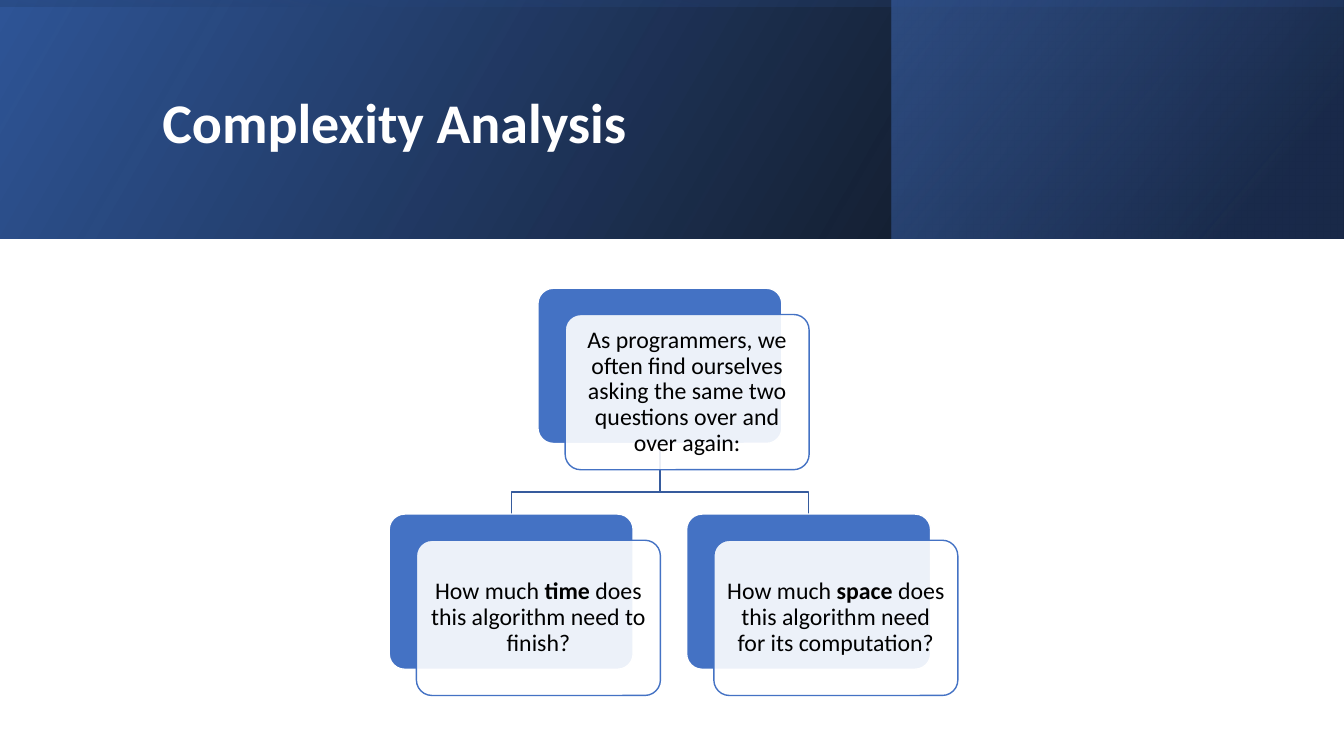
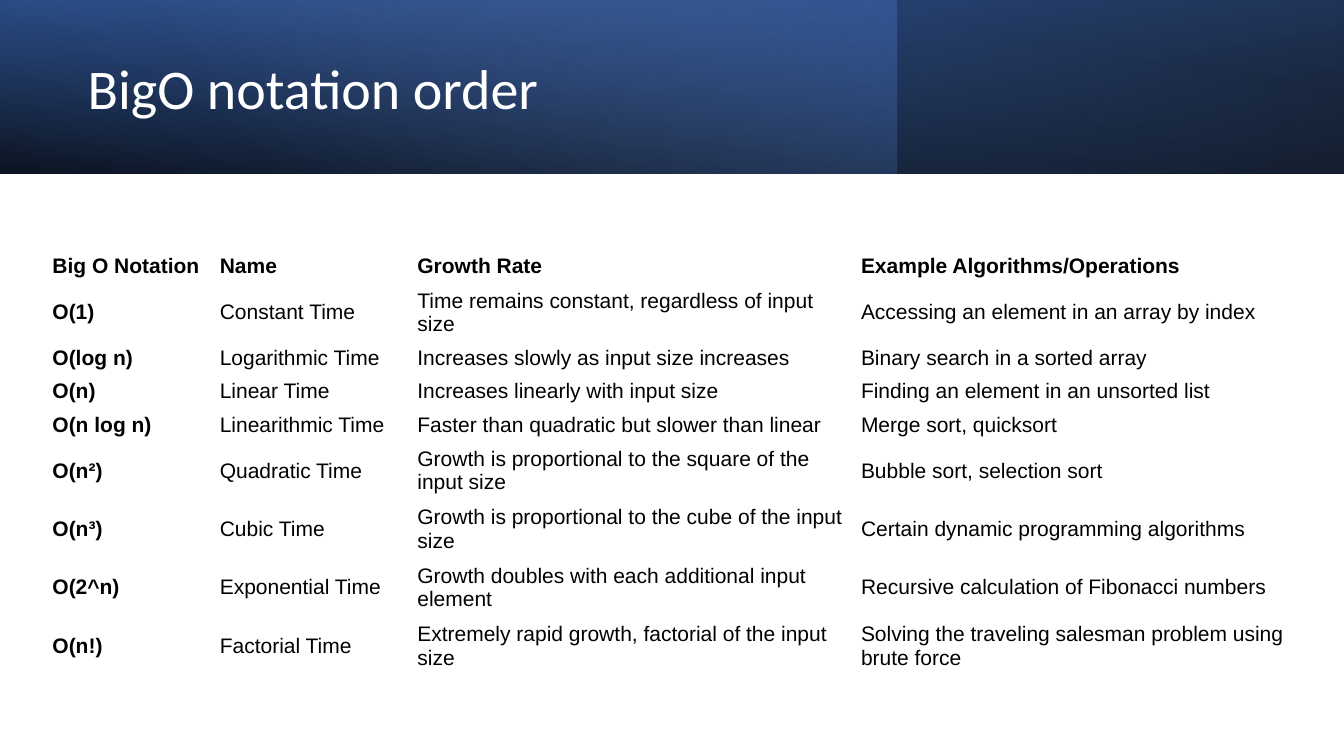
"""Build two slides: the questions of complexity analysis and the Big O orders."""
from pptx import Presentation
from pptx.dml.color import RGBColor
from pptx.enum.shapes import MSO_SHAPE
from pptx.enum.text import MSO_ANCHOR, MSO_AUTO_SIZE, PP_ALIGN
from pptx.oxml.ns import qn
from pptx.util import Inches, Pt
from lxml import etree

RECT, ROUNDED = MSO_SHAPE.RECTANGLE, MSO_SHAPE.ROUNDED_RECTANGLE
LEFT, CENTER = PP_ALIGN.LEFT, PP_ALIGN.CENTER
MIDDLE, NO_FIT = MSO_ANCHOR.MIDDLE, MSO_AUTO_SIZE.NONE

BLACK = RGBColor(0x00, 0x00, 0x00)
WHITE = RGBColor(0xFF, 0xFF, 0xFF)
BLUE = RGBColor(0x44, 0x72, 0xC4)
DEEP_BLUE = RGBColor(0x2F, 0x55, 0x97)
NAVY = RGBColor(0x20, 0x38, 0x64)
PALE_BLUE = RGBColor(0x8F, 0xAA, 0xDC)
BRANCH_BLUE = RGBColor(0x36, 0x5B, 0x9D)
HEAD_FONT, TABLE_FONT = "Calibri", "Arial"

SLIDE_W, SLIDE_H = 13.33, 7.5
TALL, LOW = 2.37, 1.72
BASE_STOPS = [(0, BLACK, 96), (100, DEEP_BLUE, 100)]

ANALYSIS = {
    "title": "Complexity Analysis", "title_box": (1.51, 0.38, 10.63, 1.72), "bold": True,
    "bands": [
        dict(box=(0, 0, SLIDE_W, TALL), stops=BASE_STOPS, angle=330, flip=True),
        dict(box=(8.84, 0, 4.48, TALL), stops=[(19, NAVY, 68), (100, BLUE, 48)],
             angle=320, flip=True),
        dict(box=(5.48, -5.48, TALL, SLIDE_W), stops=[(23, DEEP_BLUE, 16), (99, BLACK, 45)],
             angle=350, flip=True, rotation=270),
    ],
}
ORDERS = {
    "title": "BigO notation order", "title_box": (0.77, 0.27, 7.72, 1.27), "bold": False,
    "bands": [
        dict(box=(0, 0, SLIDE_W, LOW), stops=BASE_STOPS, angle=100, flip=True, rotation=180),
        dict(box=(0, 0, 8.89, LOW), stops=[(0, BLUE, 41), (74, PALE_BLUE, 0)], angle=140),
        dict(box=(0, 0, SLIDE_W, LOW), stops=[(0, BLACK, 63), (78, BLUE, 15)],
             angle=260, flip=True),
    ],
}

PREMISE = [("As programmers, we often find ourselves asking the same two "
            "questions over and over again:", False)]
QUESTIONS = [
    [("How much ", False), ("time", True), (" does this algorithm need to finish?", False)],
    [("How much ", False), ("space", True),
     (" does this algorithm need for its computation?", False)],
]
CARD_W, CARD_H = 2.42, 1.54
CARD_DX, CARD_DY = 0.27, 0.26
PREMISE_TOP, QUESTION_TOP, BRANCH_Y = 2.86, 5.1, 4.88
QUESTION_LEFT, QUESTION_STEP = 3.86, 2.95

GROWTH_HEADER = ("Big O Notation", "Name", "Growth Rate", "Example Algorithms/Operations")
GROWTH_ROWS = [
    ("O(1)", "Constant Time", "Time remains constant, regardless of input size",
     "Accessing an element in an array by index"),
    ("O(log n)", "Logarithmic Time", "Increases slowly as input size increases",
     "Binary search in a sorted array"),
    ("O(n)", "Linear Time", "Increases linearly with input size",
     "Finding an element in an unsorted list"),
    ("O(n log n)", "Linearithmic Time", "Faster than quadratic but slower than linear",
     "Merge sort, quicksort"),
    ("O(n²)", "Quadratic Time", "Growth is proportional to the square of the input size",
     "Bubble sort, selection sort"),
    ("O(n³)", "Cubic Time", "Growth is proportional to the cube of the input size",
     "Certain dynamic programming algorithms"),
    ("O(2^n)", "Exponential Time", "Growth doubles with each additional input element",
     "Recursive calculation of Fibonacci numbers"),
    ("O(n!)", "Factorial Time", "Extremely rapid growth, factorial of the input size",
     "Solving the traveling salesman problem using brute force"),
]
GROWTH_LEFT, GROWTH_TOP = 0.47, 2.48
GROWTH_COLUMNS = [1.66, 1.96, 4.4, 4.37]
GROWTH_LINES = [1, 2, 1, 1, 1, 2, 2, 2, 2]


def inches(values):
    return [Inches(value) for value in values]


def write(frame, runs, *, size, font=HEAD_FONT, color=BLACK, align=LEFT, spacing=None):
    paragraph = frame.paragraphs[0]
    paragraph.alignment = align
    if spacing:
        paragraph.line_spacing = spacing
    for text, bold in runs:
        run = paragraph.add_run()
        run.text = text
        run.font.name, run.font.size, run.font.bold = font, Pt(size), bold
        run.font.color.rgb = color


def set_opacity(shape, percents):
    for color, percent in zip(shape.element.spPr.iter(qn("a:srgbClr")), percents):
        etree.SubElement(color, qn("a:alpha")).set("val", str(percent * 1000))


def add_band(slide, box, stops, angle, flip=False, rotation=0):
    band = slide.shapes.add_shape(RECT, *inches(box))
    band.shadow.inherit = False
    band.line.fill.background()
    band.rotation = rotation
    if flip:
        band.element.spPr.xfrm.set("flipH", "1")
    band.fill.gradient()
    band.fill.gradient_angle = 360 - angle
    for stop, (position, color, _) in zip(band.fill.gradient_stops, stops):
        stop.position = position / 100
        stop.color.rgb = color
    set_opacity(band, [opacity for _, _, opacity in stops])


def add_titled_slide(deck, header):
    slide = deck.slides.add_slide(deck.slide_layouts[5])
    for band in header["bands"]:
        add_band(slide, **band)
    title = slide.shapes.title
    slide.shapes.element.append(title.element)
    title.left, title.top, title.width, title.height = inches(header["title_box"])
    frame = title.text_frame
    frame.vertical_anchor, frame.auto_size, frame.word_wrap = MIDDLE, NO_FIT, True
    write(frame, [(header["title"], header["bold"])], size=40, color=WHITE, spacing=0.9)
    return slide


def add_panel(slide, left, top, fill, outline):
    panel = slide.shapes.add_shape(ROUNDED, *inches((left, top, CARD_W, CARD_H)))
    panel.shadow.inherit = False
    panel.adjustments[0] = 0.1
    panel.fill.solid()
    panel.fill.fore_color.rgb = fill
    panel.line.color.rgb = outline
    panel.line.width = Pt(1)
    return panel


def add_card(slide, left, top, runs):
    add_panel(slide, left, top, BLUE, WHITE)
    front = add_panel(slide, left + CARD_DX, top + CARD_DY, WHITE, BLUE)
    set_opacity(front, [90])
    frame = front.text_frame
    frame.word_wrap, frame.vertical_anchor = True, MIDDLE
    frame.margin_left = frame.margin_right = Inches(0.07)
    frame.margin_top = frame.margin_bottom = Inches(0.07)
    write(frame, runs, size=17, align=CENTER, spacing=0.9)


def add_branch(slide, start_x, end_x):
    start_y = PREMISE_TOP + CARD_H
    corners = [(start_x, BRANCH_Y), (end_x, BRANCH_Y), (end_x, QUESTION_TOP)]
    builder = slide.shapes.build_freeform(Inches(start_x), Inches(start_y))
    builder.add_line_segments([inches(corner) for corner in corners], close=False)
    branch = builder.convert_to_shape()
    branch.shadow.inherit = False
    branch.fill.background()
    branch.line.color.rgb = BRANCH_BLUE
    branch.line.width = Pt(1)


def add_questions(slide):
    lefts = [QUESTION_LEFT + i * QUESTION_STEP for i in range(len(QUESTIONS))]
    premise_left = sum(lefts) / len(lefts)
    for left in lefts:
        add_branch(slide, premise_left + CARD_W / 2, left + CARD_W / 2)
    add_card(slide, premise_left, PREMISE_TOP, PREMISE)
    for left, question in zip(lefts, QUESTIONS):
        add_card(slide, left, QUESTION_TOP, question)


def add_growth_table(slide):
    rows = [GROWTH_HEADER] + GROWTH_ROWS
    heights = [0.08 + 0.25 * lines for lines in GROWTH_LINES]
    box = (GROWTH_LEFT, GROWTH_TOP, sum(GROWTH_COLUMNS), sum(heights))
    table = slide.shapes.add_table(len(rows), len(GROWTH_COLUMNS), *inches(box)).table
    table.first_row = table.horz_banding = False
    for column, width in zip(table.columns, GROWTH_COLUMNS):
        column.width = Inches(width)
    for r, (row, height) in enumerate(zip(rows, heights)):
        table.rows[r].height = Inches(height)
        for c, text in enumerate(row):
            cell = table.cell(r, c)
            cell.fill.background()
            cell.vertical_anchor = MIDDLE
            cell.margin_left = cell.margin_right = Inches(0.05)
            cell.margin_top = cell.margin_bottom = Inches(0.02)
            write(cell.text_frame, [(text, r == 0 or c == 0)], size=15, font=TABLE_FONT)


def main():
    deck = Presentation()
    deck.slide_width, deck.slide_height = inches((SLIDE_W, SLIDE_H))
    add_questions(add_titled_slide(deck, ANALYSIS))
    add_growth_table(add_titled_slide(deck, ORDERS))
    deck.save("out.pptx")


if __name__ == "__main__":
    main()
